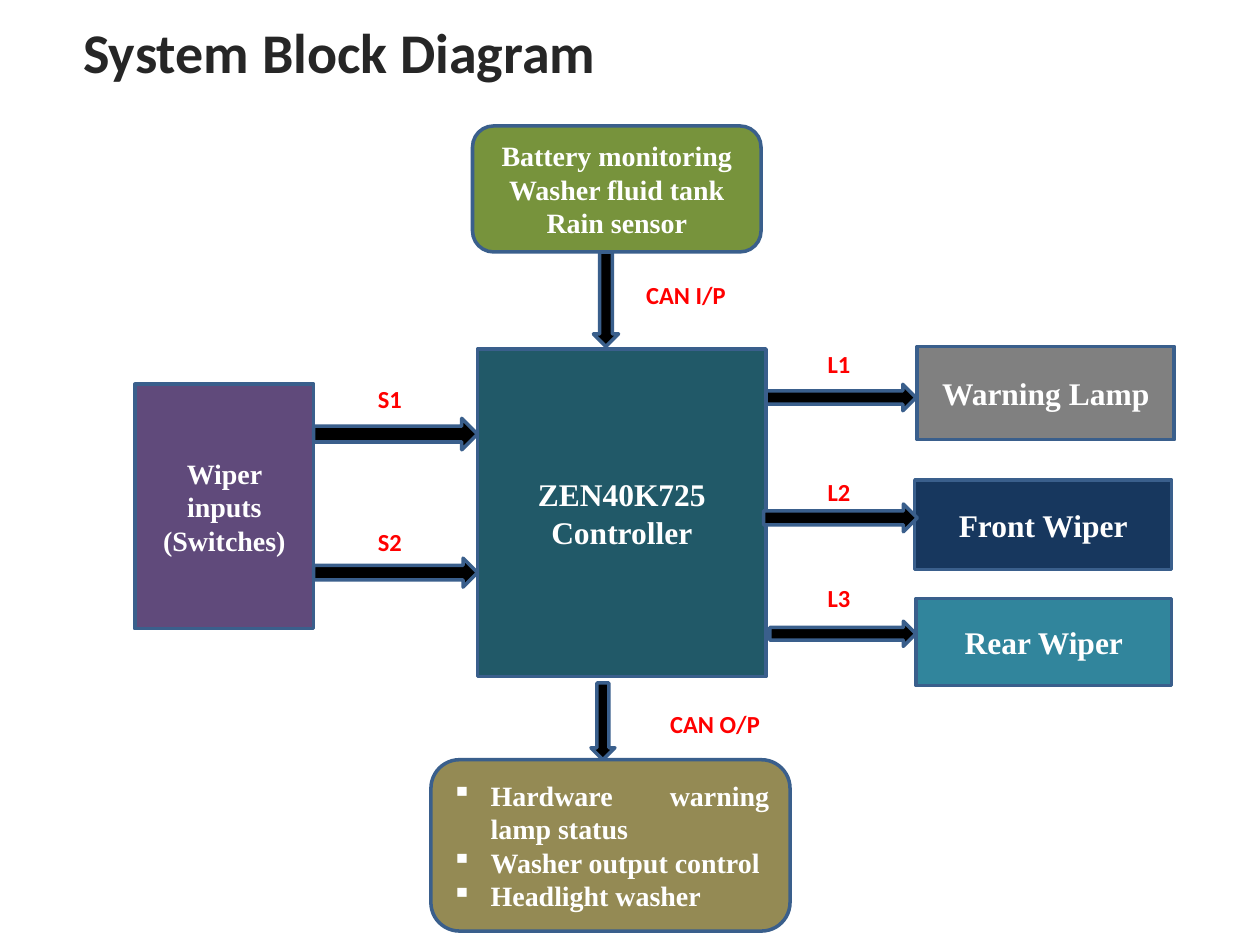
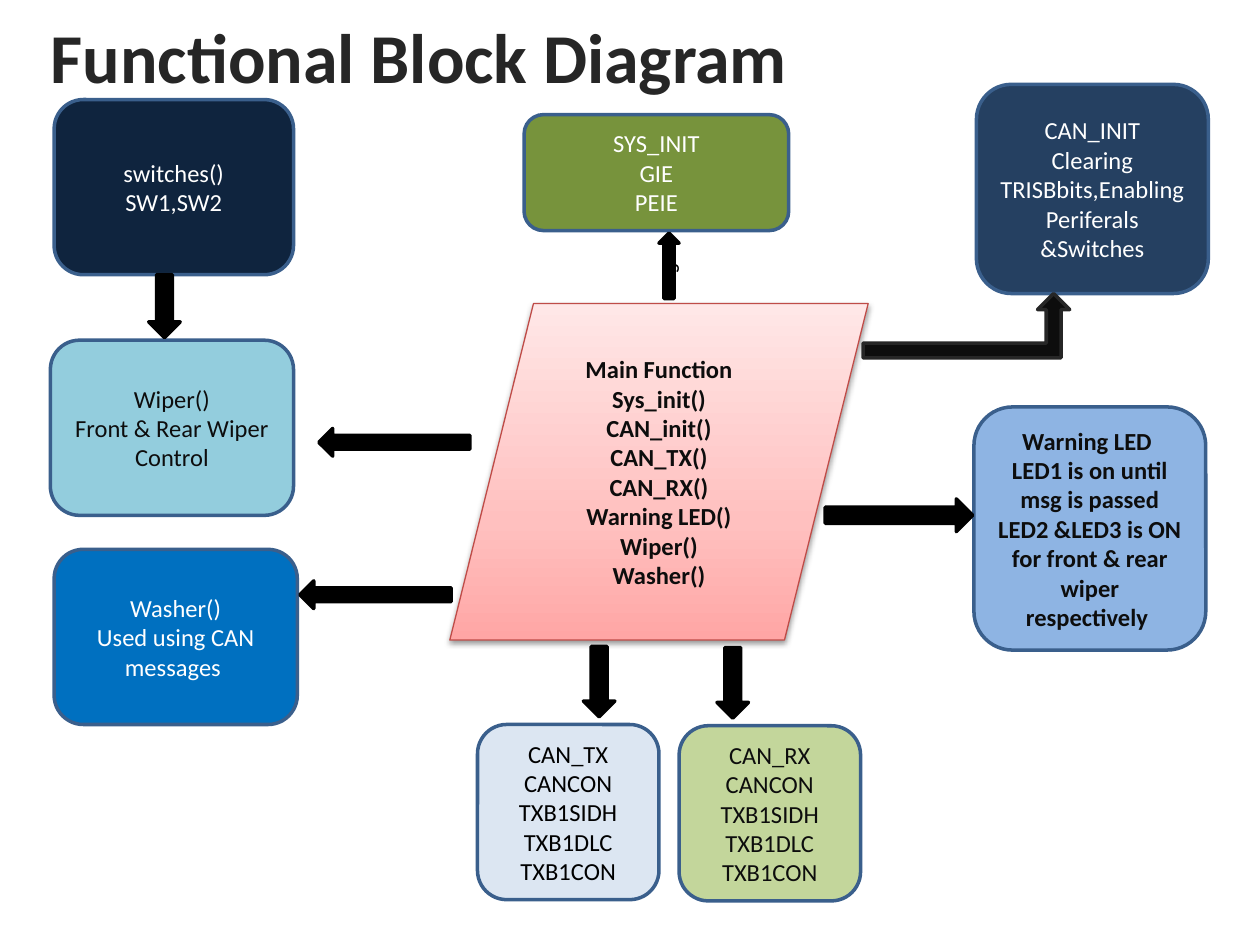
from lxml import etree
from pptx import Presentation
from pptx.dml.color import RGBColor
from pptx.enum import shapes, text
from pptx.oxml import parse_xml
from pptx.oxml.ns import nsdecls, qn
from pptx.util import Pt

PX = 9144  # one px is a hundredth of an inch
KIND = shapes.MSO_SHAPE
ALIGN = text.PP_ALIGN
ANCHOR = text.MSO_ANCHOR

SANS, SERIF = "Calibri", "Times New Roman"
WHITE = RGBColor(0xFF, 0xFF, 0xFF)
BLACK = RGBColor(0x00, 0x00, 0x00)
INK = RGBColor(0x0D, 0x0D, 0x0D)
CHARCOAL = RGBColor(0x26, 0x26, 0x26)
RED = RGBColor(0xFF, 0x00, 0x00)
EDGE = RGBColor(0x3A, 0x5F, 0x8C)
GREEN = RGBColor(0x77, 0x93, 0x3C)
PETROL = RGBColor(0x21, 0x59, 0x68)
PURPLE = RGBColor(0x60, 0x4A, 0x7B)
GREY = RGBColor(0x80, 0x80, 0x80)
NAVY = RGBColor(0x17, 0x37, 0x5E)
TEAL = RGBColor(0x31, 0x85, 0x9C)
OLIVE = RGBColor(0x94, 0x8A, 0x54)
MIDNIGHT = RGBColor(0x0F, 0x24, 0x3E)
DENIM = RGBColor(0x25, 0x40, 0x61)
SKY = RGBColor(0x8E, 0xB4, 0xE3)
AQUA = RGBColor(0x93, 0xCD, 0xDD)
LIME = RGBColor(0xC3, 0xD6, 0x9B)
BLUE = RGBColor(0x00, 0x70, 0xC0)
ICE = RGBColor(0xDC, 0xE6, 0xF2)
BRICK = RGBColor(0xBF, 0x4C, 0x48)
BLUSH = ((0, RGBColor(0xFF, 0xA6, 0xA5)), (35, RGBColor(0xFF, 0xC0, 0xBF)),
         (100, RGBColor(0xFF, 0xE7, 0xE7)))


# Shared helpers

def emu(box):
    return [round(length * PX) for length in box]


def within(area, dx, dy, width, height):
    """Turn a box relative to an area into a box on the slide."""
    return area[0] + dx, area[1] + dy, width, height


def write(frame, lines, size, color, bold=False, font=SANS, align=ALIGN.CENTER):
    frame.word_wrap = True
    for number, line in enumerate(lines):
        paragraph = frame.paragraphs[0] if number == 0 else frame.add_paragraph()
        paragraph.alignment = align
        run = paragraph.add_run()
        run.text = line
        run.font.size, run.font.name, run.font.bold = Pt(size), font, bold
        run.font.color.rgb = color


def outlined(slide, kind, box, fill, line, weight=2):
    shape = slide.shapes.add_shape(kind, *emu(box))
    shape.shadow.inherit = False
    if fill is not None:
        shape.fill.solid()
        shape.fill.fore_color.rgb = fill
    shape.line.color.rgb = line
    shape.line.width = Pt(weight)
    return shape


def block(slide, box, fill, lines, size=14, color=WHITE, kind=KIND.ROUNDED_RECTANGLE, **style):
    shape = outlined(slide, kind, box, fill, EDGE)
    shape.text_frame.vertical_anchor = ANCHOR.MIDDLE
    write(shape.text_frame, lines, size, color, **style)
    return shape


def arrow(slide, box, kind=KIND.RIGHT_ARROW, turn=0, line=BLACK):
    """Draw an arrow that fills the box after it has been turned."""
    left, top, width, height = box
    if turn % 180:
        shift = (width - height) / 2
        box = left + shift, top - shift, height, width
    shape = outlined(slide, kind, box, BLACK, line)
    shape.rotation = turn
    return shape


def signal(slide, left, top, name, width=65):
    label = slide.shapes.add_textbox(*emu((left, top, width, 34)))
    write(label.text_frame, [name], 14, RED, bold=True, align=ALIGN.LEFT)


def titled_slide(deck, title, box, size):
    slide = deck.slides.add_slide(deck.slide_layouts[5])
    heading = slide.shapes.title
    heading.left, heading.top, heading.width, heading.height = emu(box)
    frame = heading.text_frame
    frame.auto_size = text.MSO_AUTO_SIZE.NONE
    frame.vertical_anchor = ANCHOR.TOP
    write(frame, [title], size, CHARCOAL, bold=True)
    return slide


# System block diagram

def can_input(slide, area):
    block(slide, within(area, 0, 0, 229, 100), GREEN,
          ["Battery monitoring", "Washer fluid tank", "Rain sensor"],
          16, bold=True, font=SERIF)
    arrow(slide, within(area, 96, 100, 20, 75), KIND.DOWN_ARROW, line=EDGE)
    signal(slide, area[0] + 128, area[1] + 117, "CAN I/P", 103)


def can_output(slide, area):
    arrow(slide, within(area, 127, 0, 19, 61), KIND.DOWN_ARROW, line=EDGE)
    signal(slide, area[0] + 180, area[1] + 16, "CAN O/P", 99)
    status = block(slide, within(area, 0, 61, 285, 136), OLIVE,
                   ["Hardware warning lamp status", "Washer output control",
                    "Headlight washer"],
                   16, bold=True, font=SERIF, align=ALIGN.JUSTIFY)
    # Hanging square bullets
    for paragraph in status.text_frame.paragraphs:
        properties = paragraph._p.get_or_add_pPr()
        properties.set("marL", str(31 * PX))
        properties.set("indent", str(-31 * PX))
        etree.SubElement(properties, qn("a:buChar")).set("char", "▪")


def switch_inputs(slide, area):
    block(slide, within(area, 0, 5, 142, 194), PURPLE, ["Wiper inputs", "(Switches)"],
          16, kind=KIND.RECTANGLE, bold=True, font=SERIF)
    for name, label_top, arrow_top, thickness in (("S1", 0, 32, 25), ("S2", 113, 143, 23)):
        signal(slide, area[0] + 183, area[1] + label_top, name)
        arrow(slide, within(area, 142, arrow_top, 130, thickness),
              KIND.DOWN_ARROW, 270, EDGE)


def lamp_and_wipers(slide, area):
    outputs = (
        ("L1", 0, (2, 33, 119, 21), "Warning Lamp", GREY, (122, 3, 204, 74)),
        ("L2", 102, (0, 128, 122, 22), "Front Wiper", NAVY, (120, 109, 204, 71)),
        ("L3", 186, (5, 221, 116, 20), "Rear Wiper", TEAL, (121, 203, 203, 69)),
    )
    for name, label_top, link, device, fill, box in outputs:
        block(slide, within(area, *box), fill, [device], 18,
              kind=KIND.RECTANGLE, bold=True, font=SERIF)
        signal(slide, area[0] + 41, area[1] + label_top, name)
        arrow(slide, within(area, *link), KIND.DOWN_ARROW, 270, EDGE)


def system_slide(deck):
    slide = titled_slide(deck, "System Block Diagram", (-16, 9, 571, 64), 32)
    block(slide, (379, 277, 229, 260), PETROL, ["ZEN40K725 Controller"], 18,
          kind=KIND.RECTANGLE, bold=True, font=SERIF)
    can_input(slide, (375, 100, 229, 175))
    switch_inputs(slide, (107, 300, 272, 199))
    lamp_and_wipers(slide, (606, 272, 326, 272))
    can_output(slide, (342, 542, 285, 197))


# Functional block diagram

def main_function(slide, area):
    hub = outlined(slide, KIND.FLOWCHART_DATA, area, None, BRICK, 0.75)
    stops = "".join(f'<a:gs pos="{place * 1000}"><a:srgbClr val="{color}"/></a:gs>'
                    for place, color in BLUSH)
    properties = hub._element.spPr
    properties.insert(2, parse_xml(
        f'<a:gradFill {nsdecls("a")} rotWithShape="1"><a:gsLst>{stops}</a:gsLst>'
        '<a:lin ang="16200000" scaled="0"/></a:gradFill>'))
    properties.find(qn("a:effectLst")).append(parse_xml(
        f'<a:outerShdw {nsdecls("a")} blurRad="{Pt(3.1)}" dist="{Pt(1.6)}" dir="5400000" '
        'rotWithShape="0"><a:srgbClr val="000000"><a:alpha val="38000"/></a:srgbClr>'
        '</a:outerShdw>'))
    hub.text_frame.vertical_anchor = ANCHOR.MIDDLE
    write(hub.text_frame,
          ["Main Function", "Sys_init()", "CAN_init()", "CAN_TX()", "CAN_RX()",
           "Warning LED()", "Wiper()", "Washer()"], 14, INK, bold=True)


def switches_and_wipers(slide, area):
    block(slide, within(area, 3, 0, 190, 139), MIDNIGHT, ["switches()", "SW1,SW2"])
    block(slide, within(area, 0, 191, 193, 139), AQUA,
          ["Wiper()", "Front & Rear Wiper Control"], color=INK)
    block(slide, within(area, 3, 357, 193, 139), BLUE,
          ["Washer()", "Used using CAN messages "])
    arrow(slide, within(area, 78, 139, 25, 50), turn=90)
    arrow(slide, within(area, 213, 261, 120, 22), turn=180)
    arrow(slide, within(area, 198, 382, 120, 22), turn=180)


def system_init(slide, area):
    block(slide, within(area, 0, 0, 210, 92), GREEN, ["SYS_INIT", "GIE", "PEIE"])
    link = arrow(slide, within(area, 107, 94, 16, 52), turn=270)
    link.text_frame.vertical_anchor = ANCHOR.MIDDLE
    write(link.text_frame, ["s"], 14, BLACK)


def can_init_and_leds(slide, area):
    block(slide, within(area, 90, 0, 184, 166), DENIM,
          ["CAN_INIT", "Clearing TRISBbits,Enabling Periferals &Switches"])
    bend = outlined(slide, KIND.BENT_UP_ARROW, within(area, 0, 166, 164, 51), INK, CHARCOAL)
    for number, ratio in enumerate((0.23, 0.25, 0.25)):
        bend.adjustments[number] = ratio
    block(slide, within(area, 88, 256, 184, 193), SKY,
          ["Warning LED ", "LED1 is on until msg is passed LED2 &LED3 is ON "
           "for front & rear wiper respectively "], color=INK, bold=True)
    arrow(slide, within(area, -30, 329, 117, 26))


def can_registers(slide, area):
    buffers = (("CAN_TX", ICE, BLACK, 0, 84), ("CAN_RX", LIME, INK, 1, 190))
    for name, fill, color, column, arrow_left in buffers:
        block(slide, within(area, 160 * column, 62 + column, 144, 139), fill,
              [name, "CANCON", "TXB1SIDH", "TXB1DLC", "TXB1CON"], color=color)
        arrow(slide, within(area, arrow_left, column, 25, 56), turn=90)


def functional_slide(deck):
    slide = titled_slide(deck, "Functional Block Diagram", (16, 6, 633, 77), 40)
    main_function(slide, (357, 241, 332, 267))
    switches_and_wipers(slide, (40, 79, 333, 496))
    system_init(slide, (416, 91, 210, 146))
    can_init_and_leds(slide, (685, 67, 274, 449))
    can_registers(slide, (379, 513, 304, 202))


def main():
    deck = Presentation()
    deck.slide_width, deck.slide_height = emu((1000, 750))
    system_slide(deck)
    functional_slide(deck)
    deck.save("out.pptx")


if __name__ == "__main__":
    main()
